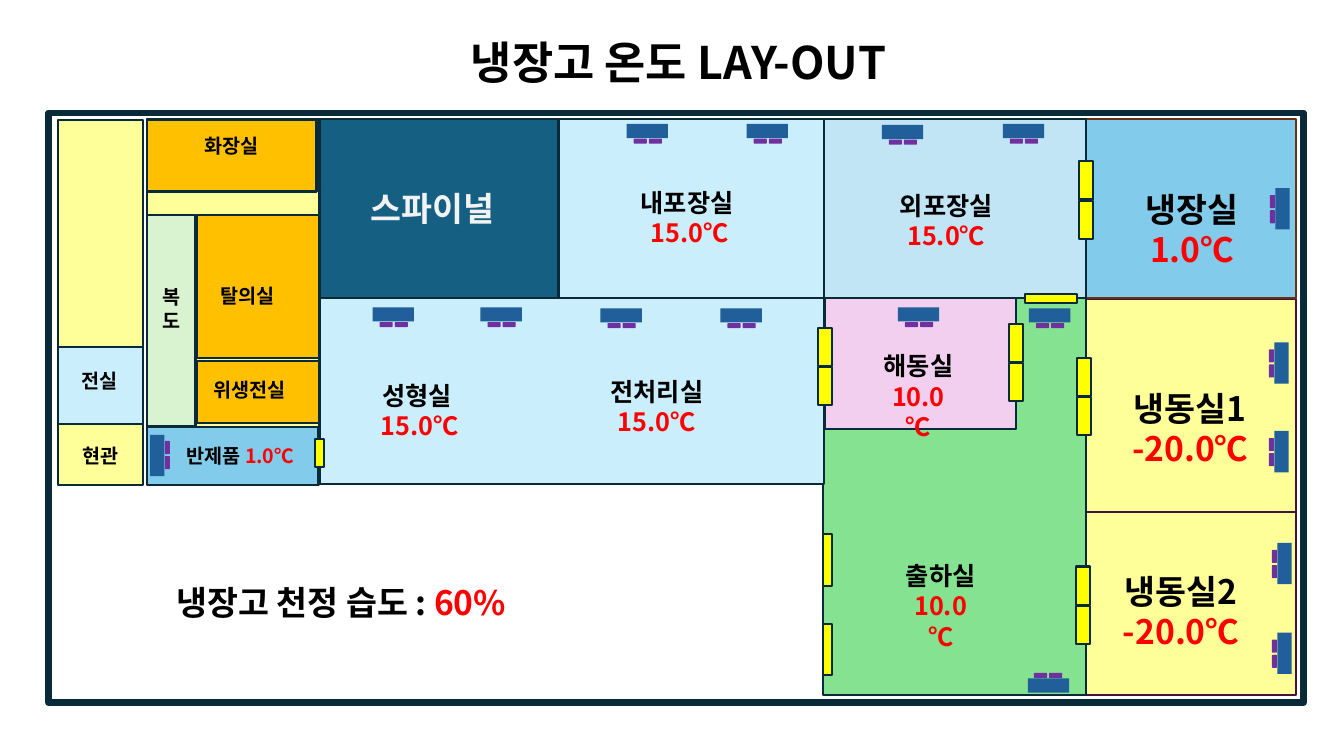
from dataclasses import dataclass
from math import cos, radians, sin

from pptx import Presentation
from pptx.dml.color import RGBColor
from pptx.enum.shapes import MSO_SHAPE
from pptx.enum.text import MSO_ANCHOR, MSO_AUTO_SIZE, PP_ALIGN
from pptx.util import Inches, Pt

RECT, ROUND = MSO_SHAPE.RECTANGLE, MSO_SHAPE.ROUNDED_RECTANGLE
LEFT, CENTER = PP_ALIGN.LEFT, PP_ALIGN.CENTER
TOP = MSO_ANCHOR.TOP
GROW = MSO_AUTO_SIZE.SHAPE_TO_FIT_TEXT


@dataclass(frozen=True)
class Theme:
    font: str = "Noto Sans CJK KR"
    title: int = 32
    large: int = 24
    medium: int = 18
    small: int = 14
    wall: float = 1.5
    outer_wall: float = 4.5
    text: str = "000000"
    light: str = "F2F2F2"
    value: str = "FF0000"
    line: str = "092A39"
    freezer_line: str = "461340"
    chill_line: str = "663216"
    yellow: str = "FFFF99"
    chill: str = "83CBEB"
    spiral: str = "156082"
    work: str = "CAEEFB"
    packing: str = "C1E5F5"
    shipping: str = "84E291"
    thaw: str = "F2CFEE"
    orange: str = "FFC000"
    corridor: str = "D9F2D0"
    door: str = "FFFF00"
    cooler: str = "215F9A"
    fan: str = "7030A0"


T = Theme()

TITLE = ("냉장고 온도 LAY-OUT", (4.57, 0.29, 4.68, 0.64))
OUTER_WALL = (0.48, 1.12, 12.45, 5.85)

ROOMS = [
    ((10.77, 5.07, 2.08, 1.83), T.yellow, T.freezer_line),
    ((10.77, 2.97, 2.08, 2.11), T.yellow, T.freezer_line),
    ((10.77, 1.18, 2.08, 1.78), T.chill, T.chill_line),
    ((3.15, 1.18, 2.39, 1.78), T.spiral, T.line),
    ((5.54, 1.18, 2.65, 1.78), T.work, T.line),
    ((8.17, 1.18, 2.6, 1.78), T.packing, T.line),
    ((8.16, 2.96, 2.61, 3.94), T.shipping, T.line),
    ((8.18, 2.96, 1.9, 1.3), T.thaw, T.line),
    ((3.16, 2.96, 5.01, 1.84), T.work, T.line),
    ((1.46, 1.18, 1.71, 3.62), T.yellow, T.line),
    ((1.95, 3.58, 1.21, 0.62), T.orange, T.line),
    ((1.95, 2.13, 1.21, 1.42), T.orange, T.line),
    ((1.46, 1.19, 1.68, 0.71), T.orange, T.line),
    ((1.46, 4.24, 1.7, 0.57), T.chill, T.line),
    ((1.46, 2.13, 0.48, 2.1), T.corridor, T.line),
    ((0.58, 1.19, 0.84, 3.62), T.yellow, T.line),
    ((0.58, 3.44, 0.84, 0.77), T.work, T.line),
]

ZONES = [
    ("성형실 ", "15.0℃", (3.64, 3.72, 1.05, 0.71), T.medium),
    ("전처리실", "15.0℃", (5.91, 3.68, 1.21, 0.71), T.medium),
    ("내포장실", " 15.0℃", (6.21, 1.81, 1.21, 0.71), T.medium),
    ("외포장실", "15.0℃", (8.78, 1.84, 1.21, 0.71), T.medium),
    ("해동실", "10.0℃", (8.63, 3.43, 0.96, 0.71), T.medium),
    ("출하실", "10.0℃", (8.85, 5.51, 0.96, 0.71), T.medium),
    ("냉장실", "1.0℃", (11.22, 1.82, 1.21, 0.91), T.large),
    ("냉동실1", "-20.0℃", (11.1, 3.8, 1.41, 0.91), T.large),
    ("냉동실2", "-20.0℃", (11.01, 5.61, 1.41, 0.91), T.large),
]

LABELS = [
    ([[("스파이널", T.light)]], (3.58, 1.82, 1.55, 0.5), T.large),
    ([[("냉장고 천정 습도 : ", T.text), ("60%", T.value)]], (1.65, 5.72, 3.93, 0.5), T.large),
    ([[("반제품 ", T.text), ("1.0℃", T.value)]], (1.75, 4.35, 1.33, 0.34), T.small),
    ([[("위생전실", T.text)]], (2.02, 3.7, 0.99, 0.34), T.small),
    ([[("탈의실", T.text)]], (2.09, 2.77, 0.79, 0.34), T.small),
    ([[("복", T.text)], [("도", T.text)]], (1.51, 2.78, 0.4, 0.57), T.small),
    ([[("화장실", T.text)]], (1.93, 1.28, 0.79, 0.34), T.small),
    ([[("전실", T.text)]], (0.71, 3.61, 0.59, 0.34), T.small),
    ([[("현관", T.text)]], (0.72, 4.36, 0.59, 0.34), T.small),
]

SINGLE_DOORS = [
    (8.16, 5.3, 0.09, 0.51),
    (8.16, 6.19, 0.09, 0.51),
    (3.12, 4.36, 0.09, 0.27),
    (10.17, 2.92, 0.51, 0.09),
]
DOUBLE_DOORS = [(10.67, 5.62), (10.68, 3.55), (10.01, 3.21), (8.11, 3.25), (10.7, 1.6)]
LEAF_W, LEAF_H, LEAF_STEP = 0.14, 0.38, 0.39

COOLERS = {
    0: [(1.56, 4.52)],
    90: [(3.9, 3.12), (4.97, 3.12), (7.35, 3.13), (6.16, 3.13), (7.61, 1.3), (6.42, 1.3),
         (9.11, 3.12), (10.41, 3.13), (10.15, 1.3), (8.95, 1.31)],
    180: [(12.72, 2.07), (12.71, 3.6), (12.71, 4.48), (12.74, 5.59), (12.74, 6.48)],
    270: [(10.4, 6.8)],
}
COOLER_SIZE, FAN_SIZE = (0.14, 0.41), (0.05, 0.13)
FAN_OFFSETS = [(0.1, -0.08), (0.1, 0.07)]


def add_block(shapes, box, fill=None, line=None, width=T.wall, kind=RECT, angle=0):
    sp = shapes.add_shape(kind, *map(Inches, box))
    sp.shadow.inherit = False
    sp.rotation = angle
    if fill:
        sp.fill.solid()
        sp.fill.fore_color.rgb = RGBColor.from_string(fill)
    else:
        sp.fill.background()
    if line:
        sp.line.color.rgb = RGBColor.from_string(line)
        sp.line.width = Pt(width)
    else:
        sp.line.fill.background()


def write(sp, lines, size, align=LEFT):
    tf = sp.text_frame
    tf.word_wrap = False
    tf.auto_size = GROW
    tf.vertical_anchor = TOP
    for i, runs in enumerate(lines):
        p = tf.paragraphs[0] if i == 0 else tf.add_paragraph()
        p.alignment = align
        p.line_spacing = 1.0
        p.font.name, p.font.size, p.font.bold = T.font, Pt(size), True
        for text, color in runs:
            r = p.add_run()
            r.text = text
            r.font.color.rgb = RGBColor.from_string(color)


def add_cooler(shapes, x, y, angle):
    group = shapes.add_group_shape().shapes
    c, s = cos(radians(angle)), sin(radians(angle))

    def add_part(dx, dy, size, fill, kind):
        w, h = size
        left = x + dx * c - dy * s - w / 2
        top = y + dx * s + dy * c - h / 2
        add_block(group, (left, top, w, h), fill, kind=kind, angle=angle)

    add_part(0, 0, COOLER_SIZE, T.cooler, RECT)
    for dx, dy in FAN_OFFSETS:
        add_part(dx, dy, FAN_SIZE, T.fan, ROUND)


def main():
    prs = Presentation()
    prs.slide_width, prs.slide_height = Inches(13.33), Inches(7.5)
    slide = prs.slides.add_slide(prs.slide_layouts[5])
    shapes = slide.shapes

    text, box = TITLE
    title = shapes.title
    title.left, title.top, title.width, title.height = map(Inches, box)
    write(title, [[(text, T.text)]], T.title)

    add_block(shapes, OUTER_WALL, line=T.line, width=T.outer_wall)
    for box, fill, line in ROOMS:
        add_block(shapes, box, fill, line)

    for name, temperature, box, size in ZONES:
        sp = shapes.add_textbox(*map(Inches, box))
        write(sp, [[(name, T.text)], [(temperature, T.value)]], size, CENTER)
    for lines, box, size in LABELS:
        write(shapes.add_textbox(*map(Inches, box)), lines, size)

    for angle, centers in COOLERS.items():
        for x, y in centers:
            add_cooler(shapes, x, y, angle)

    for box in SINGLE_DOORS:
        add_block(shapes, box, T.door, T.line)
    for x, y in DOUBLE_DOORS:
        group = shapes.add_group_shape().shapes
        for i in range(2):
            add_block(group, (x, y + i * LEAF_STEP, LEAF_W, LEAF_H), T.door, T.line)

    prs.save("out.pptx")


if __name__ == "__main__":
    main()
